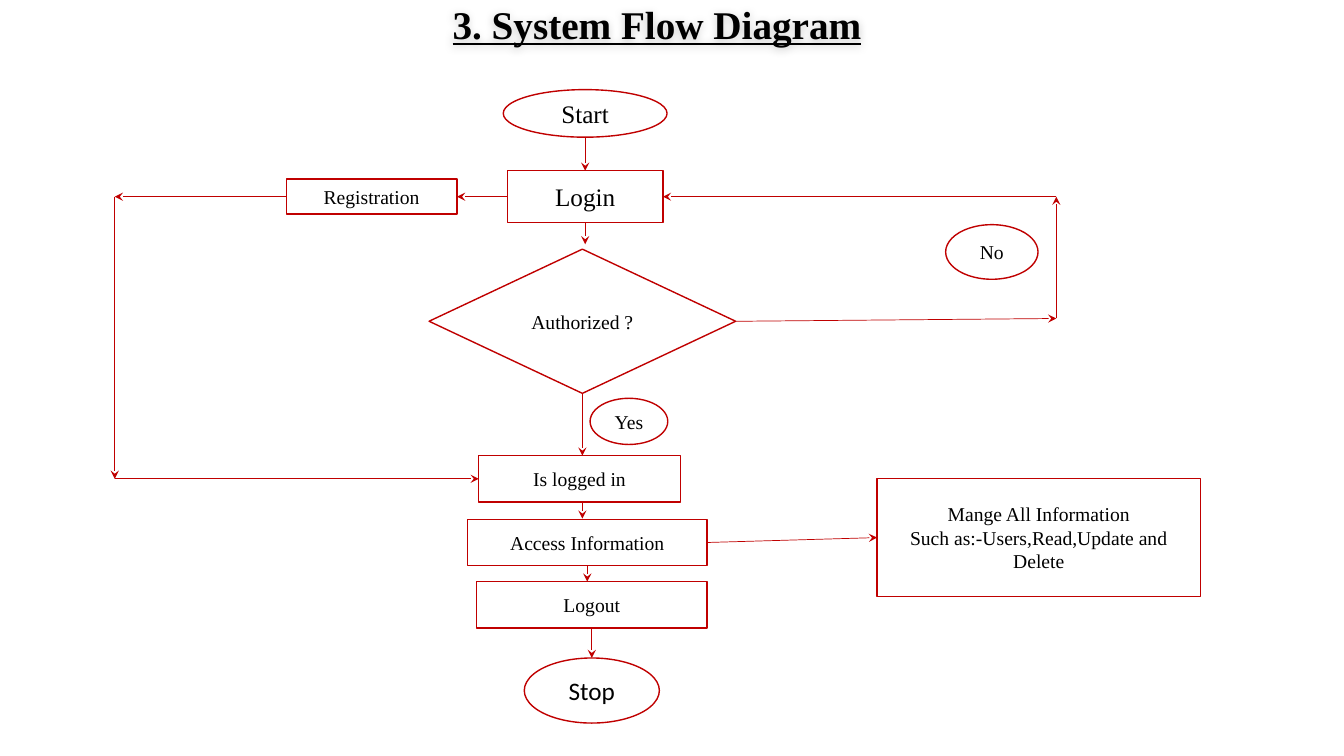
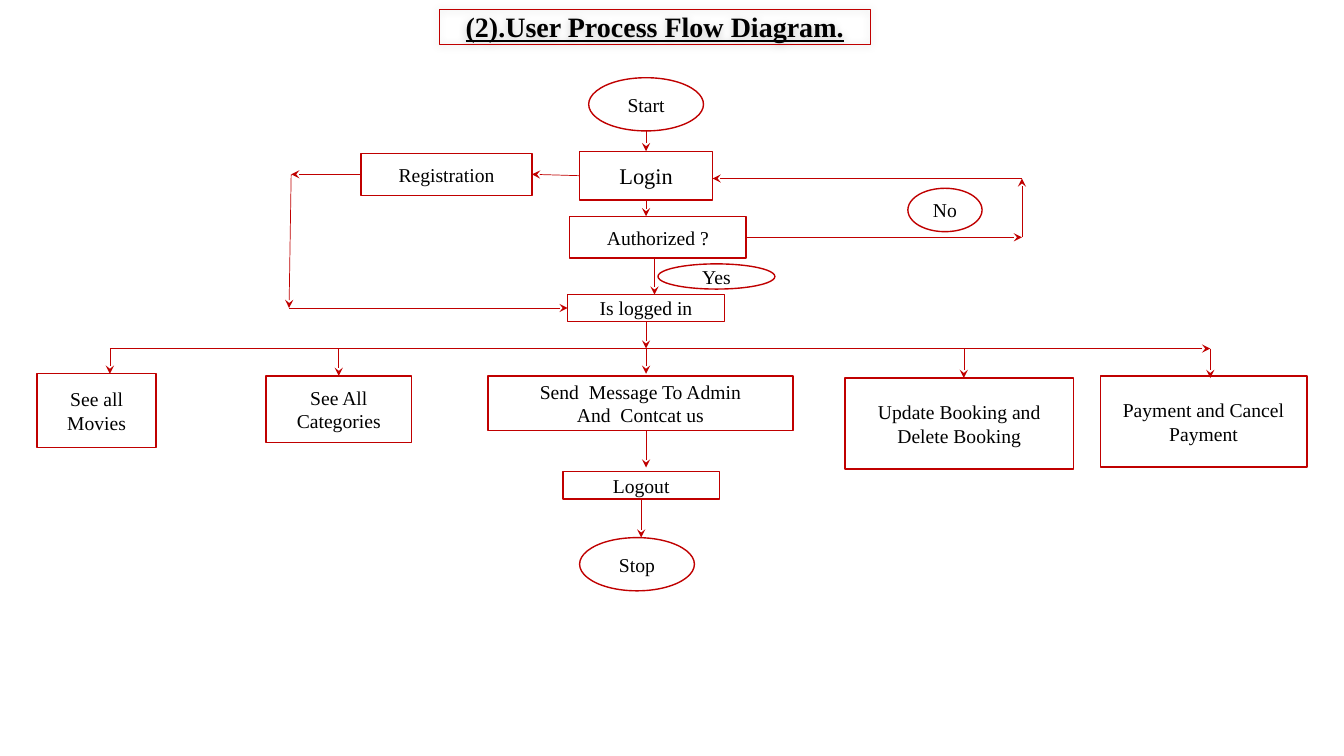
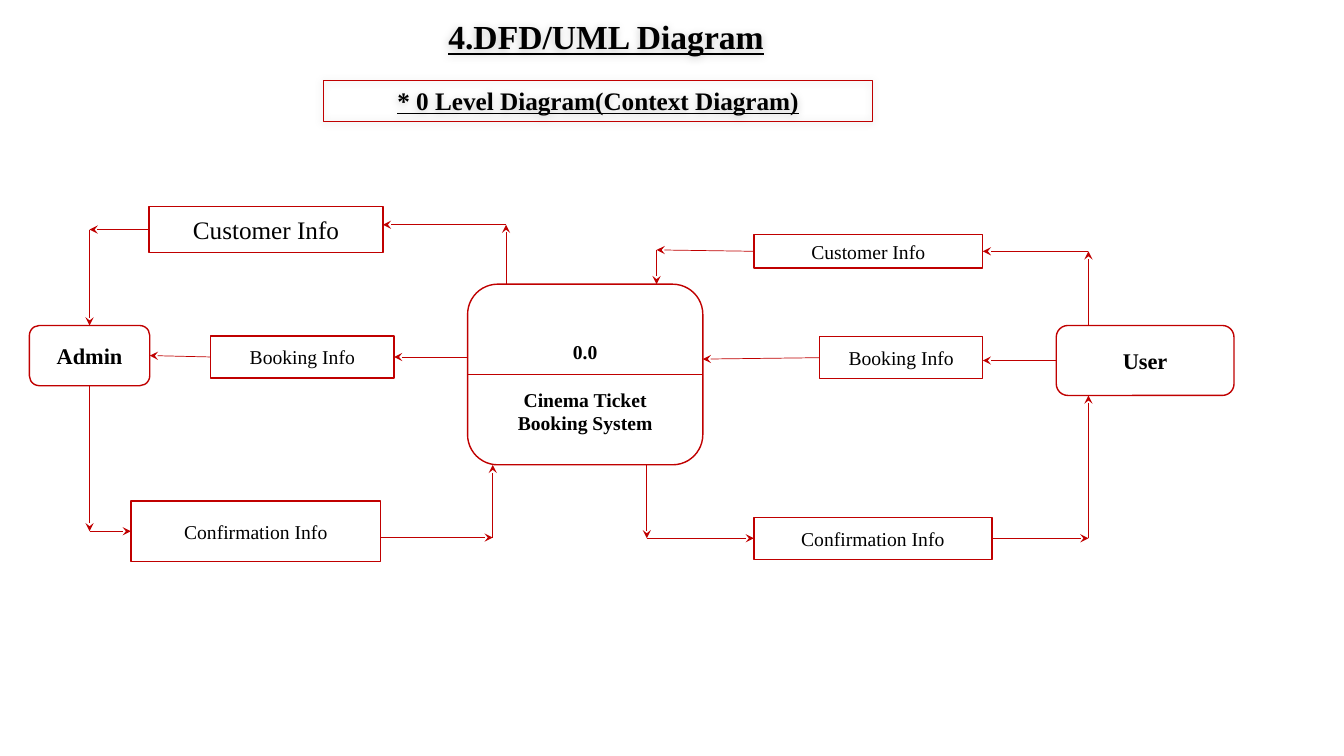
"""Build three flow diagram slides for a cinema ticket booking system."""
from itertools import pairwise

from lxml import etree
from pptx import Presentation
from pptx import util as u
from pptx.dml.color import RGBColor
from pptx.enum import shapes, text
from pptx.oxml import parse_xml
from pptx.oxml.ns import nsdecls, qn

COLOURS = {"ink": "000000", "paper": "FFFFFF", "accent": "C00000"}
FONT = "Times New Roman"
KIND = shapes.MSO_SHAPE
TOP, LEFT, BOTTOM, RIGHT = range(4)
CENTRE = text.PP_ALIGN.CENTER
SHADOW = (
    f'<a:effectLst {nsdecls("a")}><a:outerShdw blurRad="{u.Pt(6)}" dist="{u.Pt(1)}"'
    ' dir="8100000" algn="tl" rotWithShape="0">'
    f'<a:srgbClr val="{COLOURS["ink"]}"><a:alpha val="20000"/></a:srgbClr>'
    "</a:outerShdw></a:effectLst>"
)


def colour(name):
    """Return the named colour."""
    return RGBColor.from_string(COLOURS[name])


def outline(line, width):
    """Give a line the accent colour and a width in points."""
    line.color.rgb = colour("accent")
    line.width = u.Pt(width)


def write(box, words, size, bold=False, underline=False, align=CENTRE, font=FONT):
    """Put formatted text in a shape."""
    frame = box.text_frame
    frame.text = words
    frame.word_wrap = True
    frame.auto_size = text.MSO_AUTO_SIZE.NONE
    frame.vertical_anchor = text.MSO_ANCHOR.MIDDLE
    for para in frame.paragraphs:
        para.alignment = align
        for span in para.runs:
            span.font.name = font
            span.font.size = u.Pt(size)
            span.font.bold = bold
            span.font.underline = underline
            span.font.color.rgb = colour("ink")


def add_node(page, words, place, kind=KIND.RECTANGLE, size=14, **style):
    """Add an outlined white shape with centred text."""
    box = page.shapes.add_shape(kind, *map(u.Pt, place))
    box.shadow.inherit = False
    box.fill.solid()
    box.fill.fore_color.rgb = colour("paper")
    outline(box.line, 1)
    write(box, words, size, **style)
    return box


def format_heading(box, words, size, framed=False, align=CENTRE):
    """Format a bold underlined heading with a soft shadow."""
    write(box, words, size, bold=True, underline=True, align=align)
    box.fill.background()
    if framed:
        outline(box.line, 0.75)
    else:
        box.line.fill.background()
    box._element.spPr.append(parse_xml(SHADOW))


def add_page(deck, words, place, size, **style):
    """Add a slide with a placed and formatted title."""
    page = deck.slides.add_slide(deck.slide_layouts.get_by_name("Title Only"))
    title = page.shapes.title
    title.left, title.top, title.width, title.height = map(u.Pt, place)
    format_heading(title, words, size, **style)
    return page


def locate(stop):
    """Return the position of a point or of the middle of a shape's side."""
    first, second = stop
    if isinstance(first, (int, float)):
        return u.Pt(first), u.Pt(second)
    across = {LEFT: 0, RIGHT: first.width}.get(second, first.width // 2)
    down = {TOP: 0, BOTTOM: first.height}.get(second, first.height // 2)
    return first.left + across, first.top + down


def can_join(stop):
    """Tell whether a stop is a side of a shape with four connection sites."""
    box = stop[0]
    return not isinstance(box, (int, float)) and box.auto_shape_type != KIND.OVAL


def add_route(page, *stops, arrow=True):
    """Draw a connector between each pair of neighbouring stops."""
    for start, end in pairwise(stops):
        link = page.shapes.add_connector(
            shapes.MSO_CONNECTOR.STRAIGHT, *locate(start), *locate(end))
        if can_join(start):
            link.begin_connect(*start)
        if can_join(end):
            link.end_connect(*end)
        outline(link.line, 0.5)
        properties = link._element.spPr
        if arrow:
            etree.SubElement(properties.find(qn("a:ln")), qn("a:tailEnd"), type="stealth")
        etree.SubElement(properties, qn("a:effectLst"))


def build_system_flow(deck):
    """Build the system flow slide."""
    page = add_page(deck, "3. System Flow Diagram", (306.5, 0, 325.5, 34), 28)
    start = add_node(page, "Start", (359.5, 64, 117, 34), KIND.OVAL, 18)
    login = add_node(page, "Login", (362.5, 122, 111, 37), size=18)
    check = add_node(page, "Authorized ?", (306.5, 178, 219, 103), KIND.DIAMOND)
    logged = add_node(page, "Is logged in", (342, 325.5, 144, 33))
    add_node(page, "No", (675.5, 160.5, 66, 39), KIND.FLOWCHART_CONNECTOR)
    add_node(page, "Yes", (421.5, 284.5, 55.5, 33), KIND.FLOWCHART_CONNECTOR)
    access = add_node(page, "Access Information", (334, 371, 171, 33))
    logout = add_node(page, "Logout", (340.5, 415.5, 164.5, 33))
    stop = add_node(page, "Stop", (374.5, 470, 96.5, 46.5), KIND.OVAL, 18, font="Calibri")
    manage = add_node(
        page, "Mange All Information\nSuch as:-Users,Read,Update and Delete",
        (626.5, 342, 231, 84))
    register = add_node(page, "Registration", (204.5, 128, 122, 25))

    add_route(page, (start, BOTTOM), (login, TOP))
    add_route(page, (login, BOTTOM), (418, 174.5))
    add_route(page, (check, BOTTOM), (416, 325.5))
    add_route(page, (416, 358.5), (416, 370.5))
    add_route(page, (access, BOTTOM), (419.5, 415.5))
    add_route(page, (logout, BOTTOM), (stop, TOP))
    add_route(page, (access, RIGHT), (manage, LEFT))
    add_route(page, (login, LEFT), (register, RIGHT))
    add_route(page, (check, RIGHT), (754.5, 227.5), (754.5, 140.5), (login, RIGHT))
    add_route(page, (register, LEFT), (82, 140.5), (82, 342), (logged, LEFT))


def build_user_flow(deck):
    """Build the user process flow slide."""
    page = add_page(
        deck, "(2).User Process Flow Diagram.", (314, 6.5, 307.5, 25), 20, framed=True)
    start = add_node(page, "Start", (420.5, 55.5, 82, 38), KIND.OVAL)
    login = add_node(page, "Login", (414, 108, 95, 35), size=16)
    check = add_node(page, "Authorized ?", (407, 154.5, 126, 30))
    add_node(page, "No", (648.5, 134.5, 53, 31), KIND.OVAL)
    register = add_node(page, "Registration", (258, 109.5, 122, 30))
    logged = add_node(page, "Is logged in", (405.5, 210.5, 112, 19))
    add_node(page, "Yes", (470, 188.5, 83.5, 18), KIND.OVAL)
    add_node(page, "See all Movies", (26.5, 267, 85, 52.5))
    categories = add_node(page, "See All Categories", (190, 268.5, 104, 47.5))
    add_node(page, "Send  Message To Admin\nAnd  Contcat us", (348.5, 268.5, 218, 39))
    add_node(page, "Update Booking and\nDelete Booking", (603.5, 270, 163.5, 65))
    add_node(page, "Payment and Cancel Payment", (786, 268.5, 147.5, 65))
    logout = add_node(page, "Logout", (402, 337, 112, 19.5))
    add_node(page, "Stop", (414, 384, 82, 38), KIND.OVAL)

    add_route(page, (start, BOTTOM), (login, TOP))
    add_route(page, (login, BOTTOM), (461.5, 154.5))
    add_route(page, (login, LEFT), (register, RIGHT))
    add_route(page, (467.5, 184.5), (467.5, 210.5))
    add_route(page, (check, RIGHT), (730, 169.5), (730, 127.5), (509, 127.5))
    add_route(page, (register, LEFT), (208, 124.5), (206.5, 220), (logged, LEFT))
    bus = 249
    add_route(page, (logged, BOTTOM), (461.5, bus))
    add_route(page, (78.5, bus), (864.5, bus))
    add_route(page, (242, bus), (categories, TOP))
    for across, down in ((78.5, 267), (461.5, 267), (688.5, 270), (864.5, 270)):
        add_route(page, (across, bus), (across, down))
    add_route(page, (461.5, 307.5), (461.5, 334))
    add_route(page, (logout, BOTTOM), (458, 384))


def build_context_diagram(deck):
    """Build the context diagram slide."""
    page = add_page(
        deck, "4.DFD/UML Diagram", (313, 8, 249, 36), 24, align=text.PP_ALIGN.LEFT)
    level = page.shapes.add_textbox(*map(u.Pt, (231, 57.5, 392.5, 29)))
    format_heading(level, "* 0 Level Diagram(Context Diagram)", 18, framed=True)

    rounded = KIND.ROUNDED_RECTANGLE
    admin = add_node(page, "Admin", (21, 232.5, 86, 43), rounded, 16, bold=True)
    system = add_node(
        page, "0.0\nCinema Ticket Booking System", (334, 203, 168, 129), rounded, bold=True)
    system.text_frame.margin_top = u.Pt(22)
    system.text_frame.paragraphs[1].space_before = u.Pt(17)
    user = add_node(page, "User", (754.5, 232.5, 127, 50), rounded, 16, bold=True)
    admin_customer = add_node(page, "Customer Info", (106.5, 147.5, 167, 33), size=18)
    admin_booking = add_node(page, "Booking Info", (150.5, 240, 131, 30))
    admin_confirm = add_node(page, "Confirmation Info", (93.5, 358, 178.5, 43))
    user_customer = add_node(page, "Customer Info", (538.5, 167.5, 163.5, 24))
    user_booking = add_node(page, "Booking Info", (585.5, 240.5, 116.5, 30))
    user_confirm = add_node(page, "Confirmation Info", (538.5, 369.5, 170, 30))

    add_route(page, (system, LEFT), (system, RIGHT), arrow=False)
    add_route(page, (user, LEFT), (702, 257.5))
    add_route(page, (user_booking, LEFT), (502, 256.5))
    add_route(page, (334, 255), (admin_booking, RIGHT))
    add_route(page, (admin_booking, LEFT), (admin, RIGHT))
    add_route(page, (admin, BOTTOM), (64, 379.5), (admin_confirm, LEFT))
    add_route(page, (272, 384), (352, 384), (352, 332))
    add_route(page, (361.5, 203), (361.5, 160.5), (273.5, 160.5))
    add_route(page, (admin_customer, LEFT), (64, 164), (admin, TOP))
    add_route(page, (462, 332), (462, 384.5), (user_confirm, LEFT))
    add_route(page, (user_confirm, RIGHT), (777.5, 384.5), (777.5, 282.5))
    add_route(page, (777.5, 232.5), (777.5, 179.5), (user_customer, RIGHT))
    add_route(page, (user_customer, LEFT), (469, 178.5), (469, 203))


def main():
    """Build and save the deck."""
    deck = Presentation()
    deck.slide_width, deck.slide_height = u.Pt(960), u.Pt(540)
    build_system_flow(deck)
    build_user_flow(deck)
    build_context_diagram(deck)
    deck.save("out.pptx")


if __name__ == "__main__":
    main()
